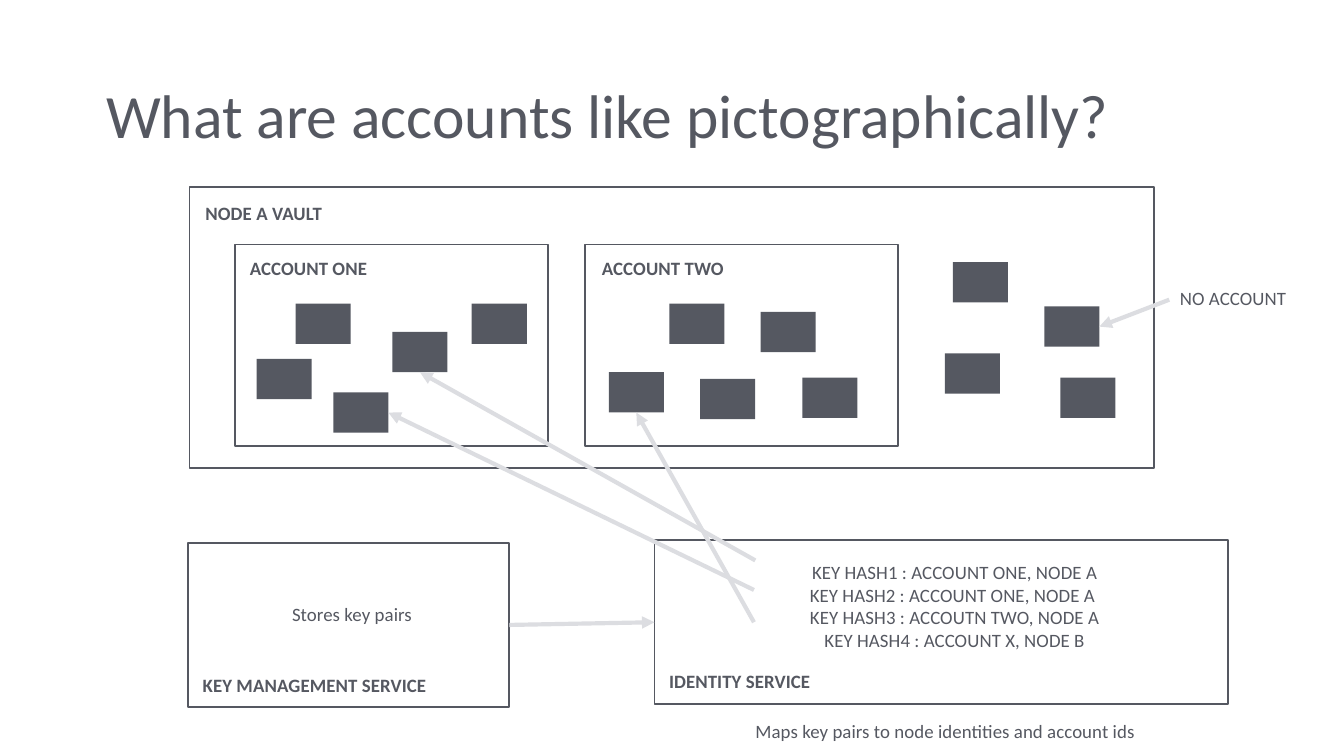
from lxml.etree import SubElement
from pptx import Presentation
from pptx.dml.color import RGBColor
from pptx.enum.shapes import MSO_CONNECTOR as Connector, MSO_SHAPE as Shape
from pptx.enum.text import MSO_ANCHOR as Anchor, MSO_AUTO_SIZE as AutoSize, PP_ALIGN as Align
from pptx.oxml.ns import qn
from pptx.util import Pt

PX = 9144  # 100 px to the inch
TOP, LEFT, BOTTOM, RIGHT = range(4)
STATE_SIZE = (41, 30)
ACCOUNT_SIZE = (233, 150)


def color(hex_string):
    return RGBColor.from_string(hex_string)


def emu(*lengths):
    return [length * PX for length in lengths]


class Diagram:
    """Holds the style and the slide being drawn."""
    font = "Calibri"
    ink = "555861"
    arrow_ink = "DCDDE1"
    text_size = 10.13
    title_size = 33

    def __init__(self, slide):
        self.slide = slide

    def format(self, para, size, bold=False, align=Align.LEFT):
        para.alignment = align
        para.font.name = self.font
        para.font.size = Pt(size)
        para.font.bold = bold
        para.font.color.rgb = color(self.ink)

    def title(self, text, left, top, width, height):
        title = self.slide.shapes.title
        title.left, title.top, title.width, title.height = emu(left, top, width, height)
        title.text_frame.text = text
        title.text_frame.vertical_anchor = Anchor.MIDDLE
        self.format(title.text_frame.paragraphs[0], self.title_size)

    def rectangle(self, left, top, width, height):
        box = self.slide.shapes.add_shape(Shape.RECTANGLE, *emu(left, top, width, height))
        box.shadow.inherit = False
        return box

    def frame(self, left, top, width, height):
        box = self.rectangle(left, top, width, height)
        box.fill.background()
        box.line.color.rgb = color(self.ink)
        box.line.width = Pt(1)
        return box

    def state(self, left, top):
        box = self.rectangle(left, top, *STATE_SIZE)
        box.fill.solid()
        box.fill.fore_color.rgb = color(self.ink)
        box.line.fill.background()
        return box

    def label(self, text, left, top, width, bold=True):
        box = self.slide.shapes.add_textbox(*emu(left, top, width, 27))
        box.text_frame.word_wrap = False
        box.text_frame.auto_size = AutoSize.SHAPE_TO_FIT_TEXT
        box.text_frame.text = text
        self.format(box.text_frame.paragraphs[0], self.text_size, bold)

    def note(self, lines, left, top, width, height):
        box = self.slide.shapes.add_textbox(*emu(left, top, width, height))
        box.text_frame.word_wrap = True
        box.text_frame.vertical_anchor = Anchor.MIDDLE
        box.text_frame.text = "\n".join(lines)
        for para in box.text_frame.paragraphs:
            self.format(para, self.text_size, align=Align.CENTER)

    def arrow(self, start, target, side):
        """Point from an (x, y) start to the middle of one side of the target."""
        x, y = emu(*start)
        line = self.slide.shapes.add_connector(Connector.STRAIGHT, x, y, x, y)
        line.end_connect(target, side)
        line.line.color.rgb = color(self.arrow_ink)
        line.line.width = Pt(2.25)
        properties = line._element.spPr
        SubElement(properties.find(qn("a:ln")), qn("a:tailEnd"), type="triangle")
        SubElement(properties, qn("a:effectLst"))
        return line


def main():
    deck = Presentation()
    deck.slide_width = 1000 * PX
    deck.slide_height = deck.slide_width * 9 // 16
    diagram = Diagram(deck.slides.add_slide(deck.slide_layouts[5]))
    diagram.title("What are accounts like pictographically?", 69, 30, 921, 109)

    diagram.frame(141, 139, 718, 209)
    diagram.label("NODE A VAULT", 143, 145, 109)

    diagram.frame(175, 182, *ACCOUNT_SIZE)
    diagram.label("ACCOUNT ONE", 176, 186, 108)
    for left, top in [(220, 226), (191, 267), (351, 226)]:
        diagram.state(left, top)
    hash1_state = diagram.state(292, 247)
    hash2_state = diagram.state(248, 292)

    diagram.frame(435, 182, *ACCOUNT_SIZE)
    diagram.label("ACCOUNT TWO", 438, 186, 112)
    for left, top in [(498, 226), (521, 282), (597, 281), (566, 232)]:
        diagram.state(left, top)
    hash3_state = diagram.state(453, 277)

    for left, top in [(703, 263), (709, 195), (789, 281)]:
        diagram.state(left, top)
    unassigned_state = diagram.state(777, 228)

    key_service = diagram.frame(140, 404, 239, 122)
    diagram.label("KEY MANAGEMENT SERVICE", 141, 496, 188)
    diagram.note(["Stores key pairs"], 194, 437, 136, 39)

    identity_service = diagram.frame(487, 402, 427, 122)
    diagram.label("IDENTITY SERVICE", 488, 493, 126)
    diagram.note([
        "KEY HASH1 : ACCOUNT ONE, NODE A",
        "KEY HASH2 : ACCOUNT ONE, NODE A ",
        "KEY HASH3 : ACCOUTN TWO, NODE A",
        "KEY HASH4 : ACCOUNT X, NODE B",
    ], 546, 393, 329, 116)
    diagram.note(["Maps key pairs to node identities and account ids"], 497, 524, 413, 39)

    service_arrow = diagram.arrow((379, 465), identity_service, LEFT)
    service_arrow.begin_connect(key_service, RIGHT)
    diagram.arrow((562, 417), hash1_state, BOTTOM)
    diagram.arrow((561, 439), hash2_state, RIGHT)
    diagram.arrow((561, 463), hash3_state, BOTTOM)
    diagram.arrow((870, 223), unassigned_state, RIGHT)
    diagram.label("NO ACCOUNT", 868, 208, 122, bold=False)

    deck.save("out.pptx")


if __name__ == "__main__":
    main()
